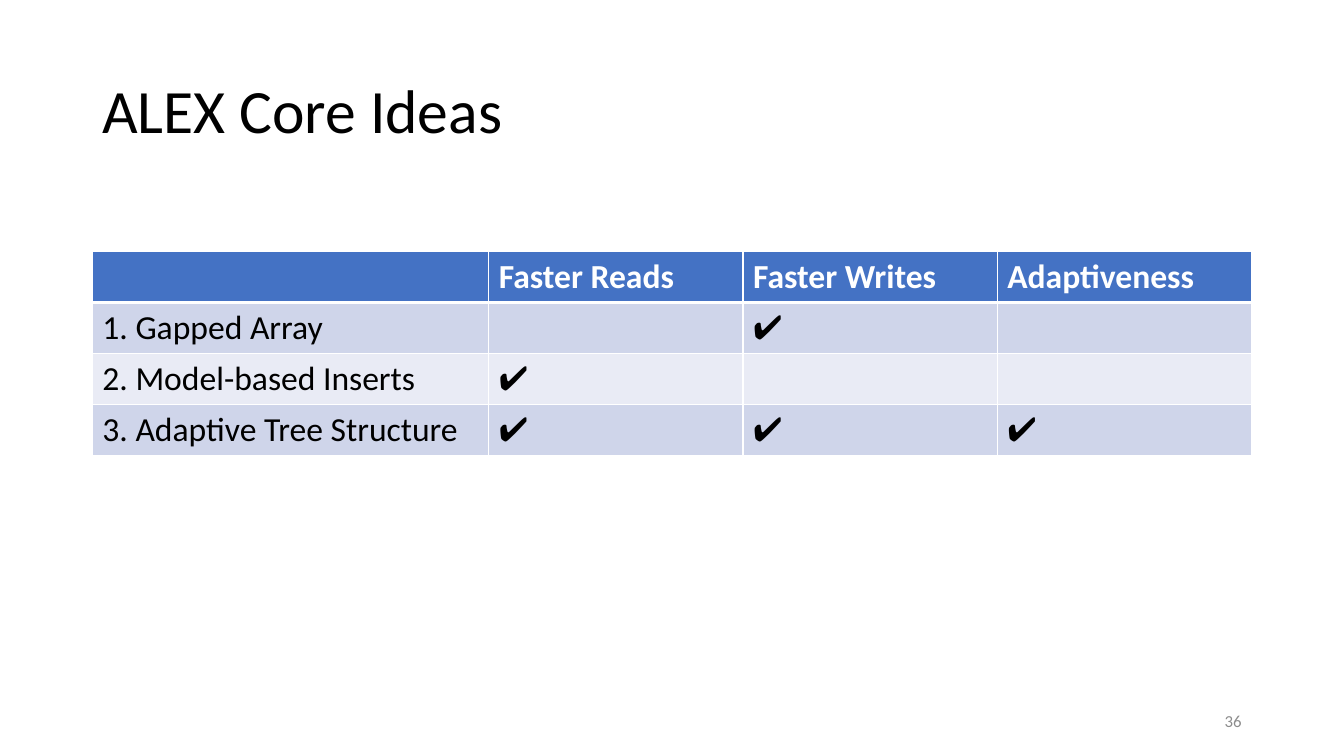
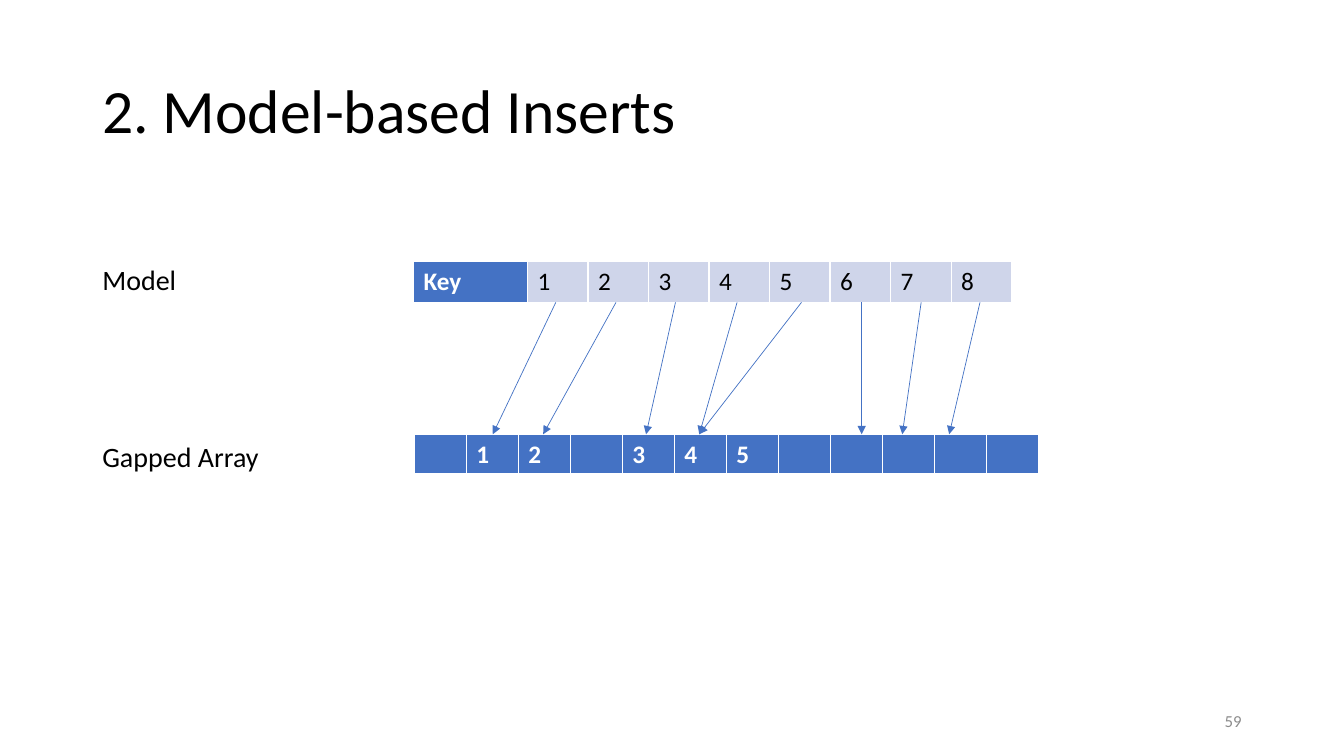
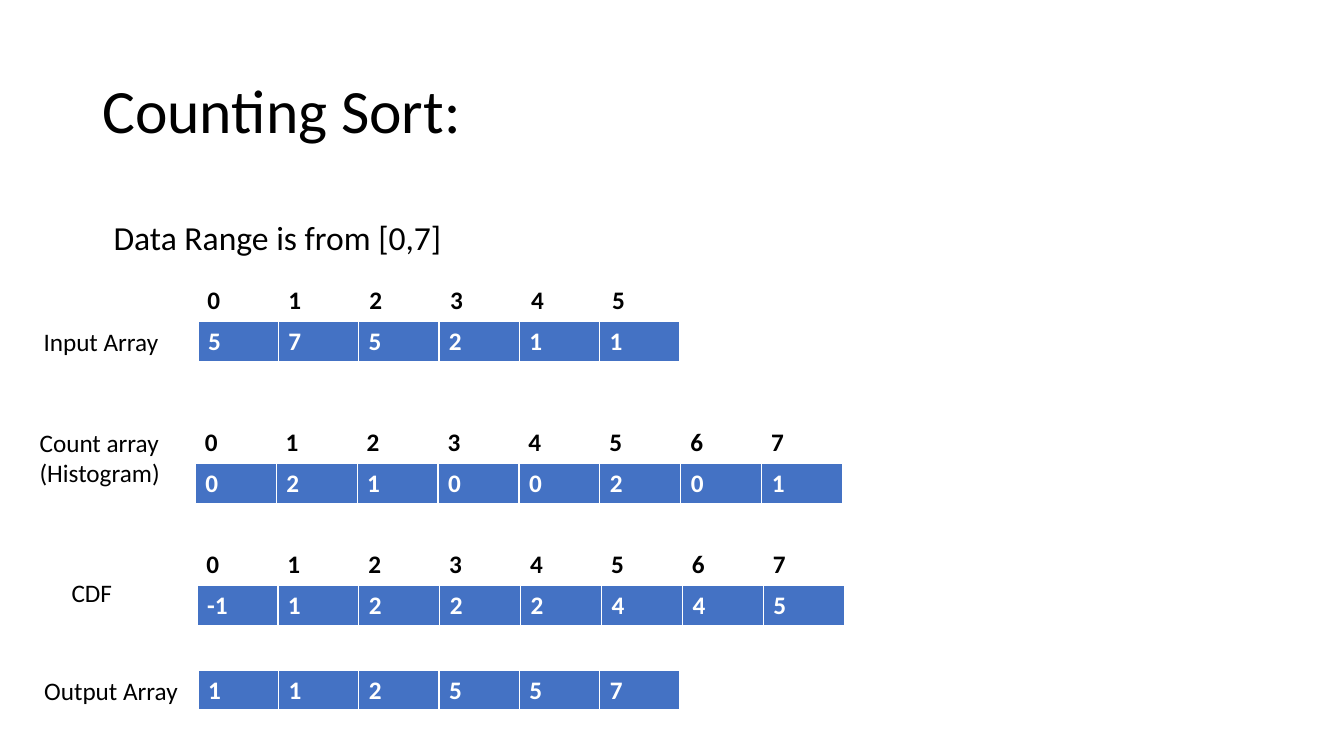
from collections import namedtuple
from dataclasses import dataclass

from lxml.etree import SubElement
from pptx import Presentation
from pptx.dml.color import RGBColor
from pptx.enum.shapes import MSO_CONNECTOR
from pptx.enum.text import MSO_ANCHOR, PP_ALIGN
from pptx.oxml.ns import qn
from pptx.util import Pt


@dataclass(frozen=True)
class Theme:
    font: str = "Calibri"
    black: str = "000000"
    white: str = "FFFFFF"
    grey: str = "8C8C8C"
    blue: str = "4472C4"
    band_dark: str = "CFD5EA"
    band_light: str = "E9EBF5"
    title: float = 44
    large: float = 24
    label: float = 20
    body: float = 18
    footer: float = 12


theme = Theme()
CellStyle = namedtuple("CellStyle", "fill color bold bottom_border")
HEADER = CellStyle(theme.blue, theme.white, True, 3)
KEY = CellStyle(theme.blue, theme.white, True, 1)
DARK = CellStyle(theme.band_dark, theme.black, False, 1)
LIGHT = CellStyle(theme.band_light, theme.black, False, 1)
INDEX = CellStyle(theme.white, theme.black, True, 3)


def add_text(slide, box, lines, size, color=theme.black, align=PP_ALIGN.LEFT,
             anchor=MSO_ANCHOR.TOP, spacing=None):
    """Add a text box at box (left, top, width, height), one paragraph a line."""
    frame = slide.shapes.add_textbox(*map(Pt, box)).text_frame
    frame.word_wrap = True
    frame.vertical_anchor = anchor
    for number, line in enumerate(lines):
        paragraph = frame.add_paragraph() if number else frame.paragraphs[0]
        paragraph.alignment = align
        paragraph.line_spacing = spacing
        run = paragraph.add_run()
        run.text = line
        run.font.name = theme.font
        run.font.size = Pt(size)
        run.font.color.rgb = RGBColor.from_string(color)


def add_grid(slide, left, top, widths, rows, size=theme.body, row_height=29.2):
    """Add a table with white borders; each row lists (text, CellStyle) pairs."""
    table = slide.shapes.add_table(
        len(rows), len(widths), Pt(left), Pt(top),
        Pt(sum(widths)), Pt(row_height * len(rows))).table
    table.first_row = table.horz_banding = False
    for column, width in zip(table.columns, widths):
        column.width = Pt(width)
    for row_number, row in enumerate(rows):
        table.rows[row_number].height = Pt(row_height)
        for column_number, (text, style) in enumerate(row):
            cell = table.cell(row_number, column_number)
            properties = cell._tc.get_or_add_tcPr()
            for side in "LRTB":
                weight = style.bottom_border if side == "B" else 1
                line = SubElement(properties, qn(f"a:ln{side}"), w=str(Pt(weight)))
                fill = SubElement(line, qn("a:solidFill"))
                SubElement(fill, qn("a:srgbClr"), val=theme.white)
            cell.fill.solid()
            cell.fill.fore_color.rgb = RGBColor.from_string(style.fill)
            paragraph = cell.text_frame.paragraphs[0]
            paragraph.font.size = Pt(size)
            if text:
                run = paragraph.add_run()
                run.text = text
                run.font.name = theme.font
                run.font.size = Pt(size)
                run.font.bold = style.bold
                run.font.color.rgb = RGBColor.from_string(style.color)


presentation = Presentation()
presentation.slide_width = Pt(960)
presentation.slide_height = Pt(540)

# Shared frame: title and page number
slides = []
for title, page in [("ALEX Core Ideas", "36"),
                    ("2. Model-based Inserts", "59"),
                    ("Counting Sort:", None)]:
    slide = presentation.slides.add_slide(presentation.slide_layouts[6])
    add_text(slide, (66, 28.75, 828, 104.4), [title], theme.title,
             anchor=MSO_ANCHOR.MIDDLE, spacing=0.9)
    if page:
        add_text(slide, (678, 500.5, 216, 28.75), [page], theme.footer, theme.grey,
                 PP_ALIGN.RIGHT, MSO_ANCHOR.MIDDLE)
    slides.append(slide)
ideas_slide, inserts_slide, sort_slide = slides

# Core ideas
ideas = [
    (HEADER, ["", "Faster Reads", "Faster Writes", "Adaptiveness"]),
    (DARK, ["1. Gapped Array", "", "✔", ""]),
    (LIGHT, ["2. Model-based Inserts", "✔", "", ""]),
    (DARK, ["3. Adaptive Tree Structure", "✔", "✔", "✔"]),
]
add_grid(ideas_slide, 66, 179.6, [283.2] + [181.6] * 3,
         [[(text, style) for text in texts] for style, texts in ideas],
         theme.large, 36.4)

# Model-based inserts
for label, top in [("Model", 184), ("Gapped Array", 310.5)]:
    add_text(inserts_slide, (66, top, 140, 31.5), [label], theme.label)
gapped_keys = ["", "1", "2", "", "3", "4", "5", "", "", "", "", ""]
for top, cells in [(310.3, [(key, HEADER) for key in gapped_keys]),
                   (342, [("", INDEX)] * len(gapped_keys))]:
    add_grid(inserts_slide, 296, top, [37.15] * len(gapped_keys), [cells])
model_cells = [("Key", KEY)] + [(str(key), DARK) for key in range(1, 9)]
add_grid(inserts_slide, 295.4, 187, [81.4] + [43.25] * 8, [model_cells])

for model_x, array_x in [(397, 352), (440, 388), (482.5, 461.5), (526.5, 499.5),
                         (572.5, 499.5), (615.5, 615.5), (658, 644.5), (700, 678)]:
    arrow = inserts_slide.shapes.add_connector(
        MSO_CONNECTOR.STRAIGHT, Pt(model_x), Pt(216), Pt(array_x), Pt(310.2))
    arrow.line.color.rgb = RGBColor.from_string(theme.blue)
    arrow.line.width = Pt(0.5)
    SubElement(arrow.line._get_or_add_ln(), qn("a:tailEnd"), type="triangle")
    SubElement(arrow._element.spPr, qn("a:effectLst"))

# Counting sort
add_text(sort_slide, (74, 151.5, 303, 36), ["Data Range is from [0,7]"], theme.large)
for lines, left, top in [(["Input Array"], 24, 229.5),
                         (["Count array", "(Histogram)"], 21.2, 301.5),
                         (["CDF"], 44, 409),
                         (["Output Array"], 24.5, 479)]:
    add_text(sort_slide, (left, top, 126, 29 * len(lines)), lines, theme.body)

for left, top, width, values, indexed in [
        (141.4, 229.7, 57.4, [5, 7, 5, 2, 1, 1], True),
        (139.5, 331.3, 57.8, [0, 2, 1, 0, 0, 2, 0, 1], True),
        (140.7, 418.3, 57.8, [-1, 1, 2, 2, 2, 4, 4, 5], True),
        (141.5, 478.8, 57.4, [1, 1, 2, 5, 5, 7], False)]:
    if indexed:
        indexes = [str(index) if index < len(values) else "" for index in range(8)]
        add_grid(sort_slide, left - 0.4, top - 29.2, [57.8] * 8,
                 [[(index, INDEX) for index in indexes]])
    add_grid(sort_slide, left, top, [width] * len(values),
             [[(str(value), HEADER) for value in values]])

presentation.save("out.pptx")
